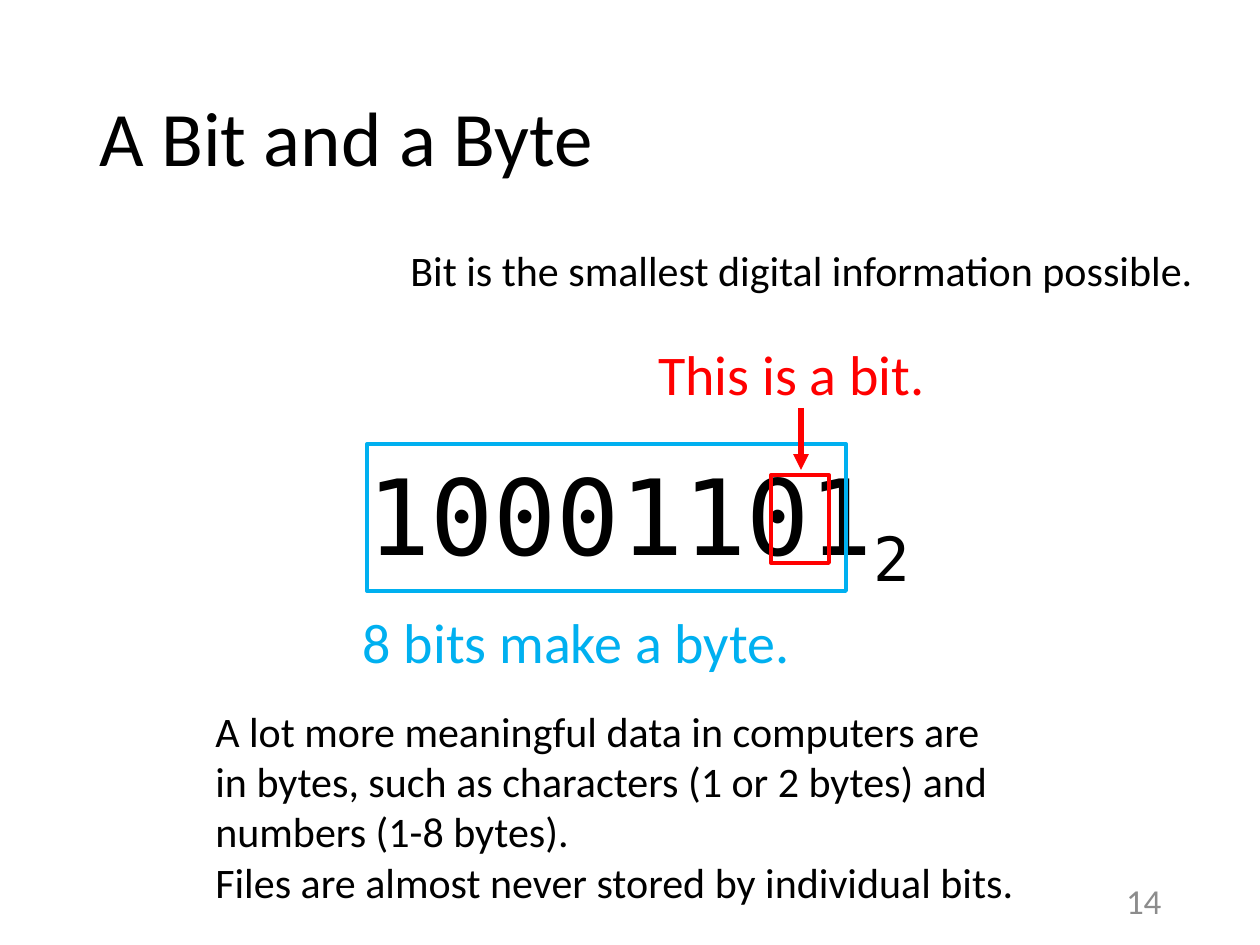
"""Build the slide that explains a bit and a byte."""
import pptx
import pptx.dml.color
import pptx.enum.shapes
import pptx.enum.text
import pptx.oxml
import pptx.oxml.ns
import pptx.util

SCALE = 914400 / 126
SLIDE_SIZE = (1260, 945)
BLACK, RED, BLUE, GRAY = "000000", "FF0000", "00B0F0", "8C8C8C"
SANS, MONO = "Calibri", "DejaVu Sans Mono"
ALIGN = pptx.enum.text.PP_ALIGN
ANCHOR = pptx.enum.text.MSO_ANCHOR
FIT = pptx.enum.text.MSO_AUTO_SIZE

TITLE = {"size": 44, "anchor": ANCHOR.MIDDLE, "wrap": True, "fit": FIT.NONE, "spacing": 0.9}
BODY = {"size": 24}
DIGITS = {"size": 60, "font": MONO, "wrap": True}
BIT_LABEL = {"size": 32, "color": RED, "align": ALIGN.CENTER}
BYTE_LABEL = {**BIT_LABEL, "color": BLUE}
NUMBER = {"size": 20, "color": GRAY, "align": ALIGN.RIGHT, "anchor": ANCHOR.MIDDLE,
          "wrap": True, "fit": FIT.NONE}

TITLE_TEXT = ((87, 50, 1086, 183), ["A Bit and a Byte"], TITLE)
BINARY_TEXT = ((355, 444, 582, 140), ["10001101"], {**DIGITS, "subscript": "2"})
LABELS = [
    ((644, 333, 295, 81), ["This is a bit."], BIT_LABEL),
    ((348, 601, 457, 81), ["8 bits make a byte."], BYTE_LABEL),
]
NOTES = [
    ((398, 238, 814, 63), ["Bit is the smallest digital information possible."], BODY),
    ((203, 699, 832, 217), [
        "A lot more meaningful data in computers are\n"
        "in bytes, such as characters (1 or 2 bytes) and\n"
        "numbers (1-8 bytes).",
        "Files are almost never stored by individual bits.",
    ], BODY),
    ((1090, 876, 84, 50), ["14"], NUMBER),
]
BIT_FRAME = ((771, 475, 58, 88), RED)
BYTE_FRAME = ((367, 444, 479, 147), BLUE)
BIT_ARROW = (801, 408, 801, 470)


def emu(lengths):
    return [round(length * SCALE) for length in lengths]


def rgb(color):
    return pptx.dml.color.RGBColor.from_string(color)


def assign(target, values):
    for name, value in values.items():
        setattr(target, name, value)


def add_text(slide, box, lines, style):
    frame = slide.shapes.add_textbox(*emu(box)).text_frame
    assign(frame, {
        "text": "\n".join(line.replace("\n", "\v") for line in lines),
        "word_wrap": style.get("wrap", False),
        "auto_size": style.get("fit", FIT.SHAPE_TO_FIT_TEXT),
        "vertical_anchor": style.get("anchor", ANCHOR.TOP),
    })
    if "subscript" in style:
        run = frame.paragraphs[-1].add_run()
        run.text = style["subscript"]
        run._r.get_or_add_rPr().set("baseline", "-25000")
    for paragraph in frame.paragraphs:
        assign(paragraph, {"alignment": style.get("align", ALIGN.LEFT),
                           "line_spacing": style.get("spacing")})
        for run in paragraph.runs:
            assign(run.font, {"name": style.get("font", SANS),
                              "size": pptx.util.Pt(style["size"])})
            run.font.color.rgb = rgb(style.get("color", BLACK))


def draw_line(line, color, width):
    line.color.rgb = rgb(color)
    line.width = pptx.util.Pt(width)


def add_frame(slide, box, color):
    shape = slide.shapes.add_shape(pptx.enum.shapes.MSO_SHAPE.RECTANGLE, *emu(box))
    shape.shadow.inherit = False
    shape.fill.background()
    draw_line(shape.line, color, 2.25)


def add_arrow(slide, ends, color):
    arrow = slide.shapes.add_connector(pptx.enum.shapes.MSO_CONNECTOR.STRAIGHT, *emu(ends))
    draw_line(arrow.line, color, 3)
    namespace = pptx.oxml.ns.nsdecls("a")
    head = pptx.oxml.parse_xml(f'<a:tailEnd {namespace} type="triangle"/>')
    arrow.line._get_or_add_ln().append(head)
    arrow._element.spPr.append(pptx.oxml.parse_xml(f"<a:effectLst {namespace}/>"))


def main():
    presentation = pptx.Presentation()
    width, height = emu(SLIDE_SIZE)
    assign(presentation, {"slide_width": width, "slide_height": height})
    slide = presentation.slides.add_slide(presentation.slide_layouts[6])
    add_text(slide, *TITLE_TEXT)
    add_text(slide, *BINARY_TEXT)
    add_frame(slide, *BIT_FRAME)
    for label in LABELS:
        add_text(slide, *label)
    add_frame(slide, *BYTE_FRAME)
    add_arrow(slide, BIT_ARROW, RED)
    for note in NOTES:
        add_text(slide, *note)
    presentation.save("out.pptx")


if __name__ == "__main__":
    main()
